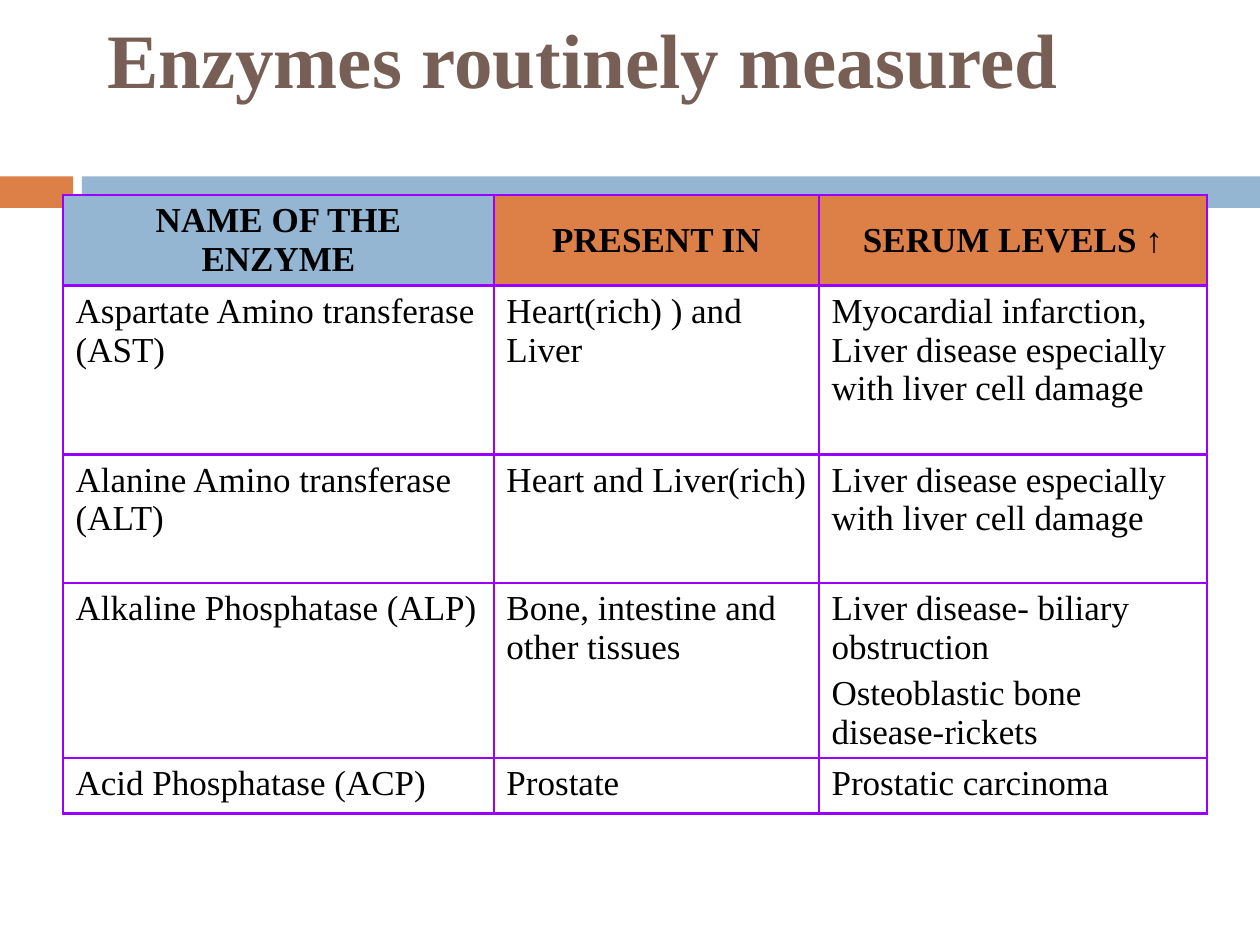
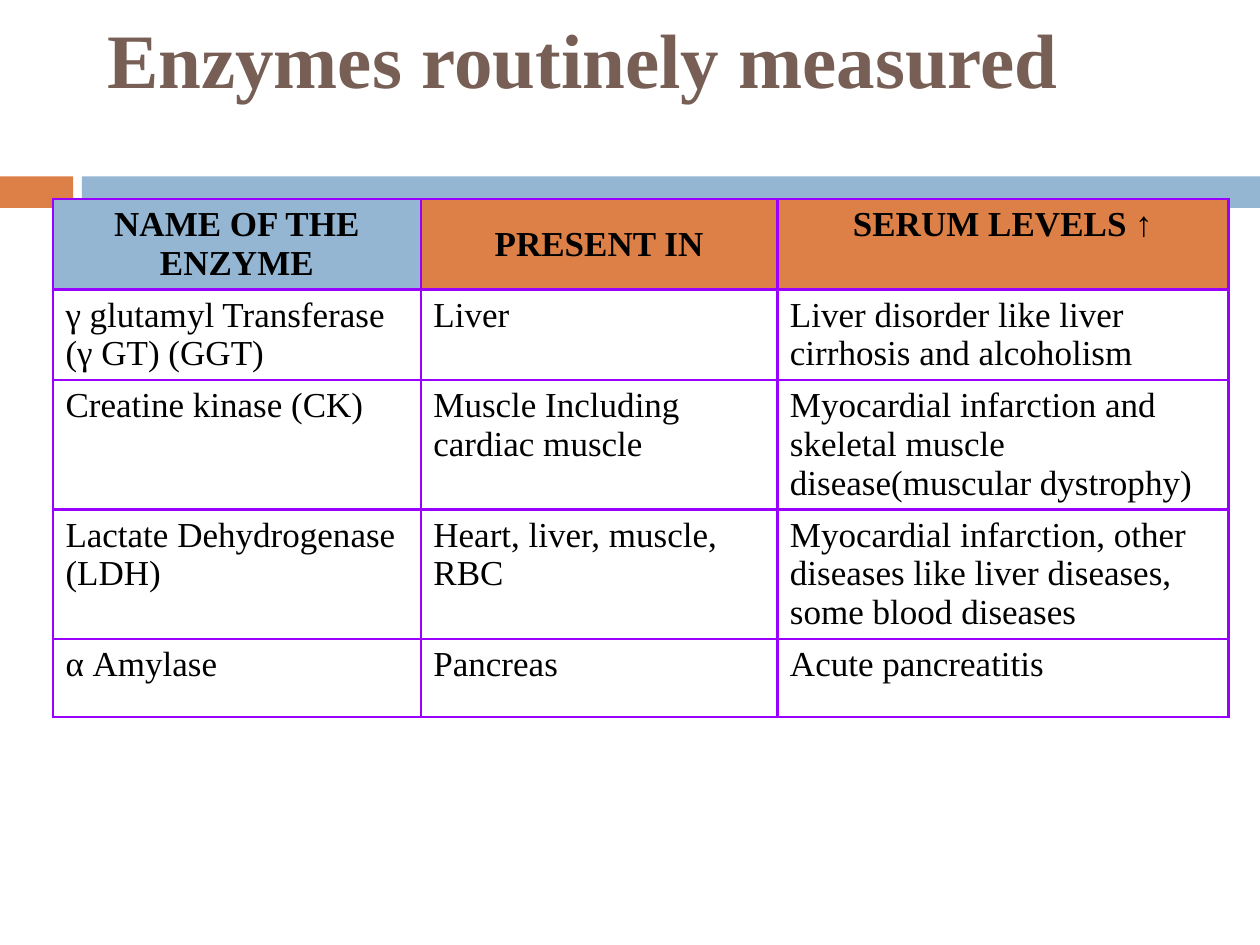
import dataclasses

import lxml.etree
import pptx
import pptx.dml.color
import pptx.enum.shapes
import pptx.enum.text
import pptx.oxml.ns
import pptx.presentation
import pptx.slide
import pptx.table
import pptx.text.text
import pptx.util

Inches = pptx.util.Inches
Pt = pptx.util.Pt
Color = pptx.dml.color.RGBColor
Align = pptx.enum.text.PP_ALIGN
Anchor = pptx.enum.text.MSO_ANCHOR


@dataclasses.dataclass(frozen=True)
class Theme:
    font: str = "Times New Roman"
    title_color: Color = Color(0x77, 0x5F, 0x55)
    text_color: Color = Color(0, 0, 0)
    orange: Color = Color(0xDD, 0x80, 0x47)
    blue: Color = Color(0x94, 0xB6, 0xD2)
    border: Color = Color(0x99, 0x00, 0xFF)
    title_size: int = 44
    table_size: int = 20
    paragraph_gap: int = 4
    border_width: float = 1.5


@dataclasses.dataclass(frozen=True)
class Band:
    left: float
    width: float
    color: Color


@dataclasses.dataclass(frozen=True)
class EnzymeTable:
    left: float
    top: float
    columns: tuple[float, ...]
    rows: tuple[float, ...]
    entries: tuple[tuple[str, str, str], ...]
    last_header_anchor: Anchor = Anchor.MIDDLE


THEME = Theme()
TITLE = "Enzymes routinely measured"
HEADERS = ("NAME OF THE ENZYME", "PRESENT IN", "SERUM LEVELS ↑")
HEADER_FILLS = (THEME.blue, THEME.orange, THEME.orange)
BANDS = (Band(0, 0.58, THEME.orange), Band(0.65, 9.35, THEME.blue))

TABLES = (
    EnzymeTable(
        left=0.5, top=1.55,
        columns=(3.42, 2.58, 3.08),
        rows=(0.71, 1.34, 1.02, 1.39, 0.44),
        entries=(
            ("Aspartate Amino transferase (AST)", "Heart(rich) ) and Liver",
             "Myocardial infarction, Liver disease especially with liver cell damage"),
            ("Alanine Amino transferase (ALT)", "Heart and Liver(rich)",
             "Liver disease especially with liver cell damage"),
            ("Alkaline Phosphatase (ALP)", "Bone, intestine and other tissues",
             "Liver disease- biliary obstruction\nOsteoblastic bone disease-rickets"),
            ("Acid Phosphatase (ACP)", "Prostate", "Prostatic carcinoma"),
        ),
    ),
    EnzymeTable(
        left=0.42, top=1.58,
        columns=(2.92, 2.83, 3.58),
        rows=(0.71, 0.71, 1.03, 1.03, 0.62),
        entries=(
            ("γ glutamyl Transferase (γ GT) (GGT)", "Liver",
             "Liver disorder like liver cirrhosis and alcoholism"),
            ("Creatine kinase (CK)", "Muscle Including cardiac muscle",
             "Myocardial infarction and skeletal muscle disease(muscular dystrophy)"),
            ("Lactate Dehydrogenase (LDH)", "Heart, liver, muscle, RBC",
             "Myocardial infarction, other diseases like liver diseases, some blood diseases"),
            ("α Amylase", "Pancreas", "Acute pancreatitis"),
        ),
        last_header_anchor=Anchor.TOP,
    ),
)


def format_text(para: pptx.text.text._Paragraph, size: int, color: Color,
                bold: bool, align: Align) -> None:
    para.alignment = align
    for span in para.runs:
        span.font.name = THEME.font
        span.font.size = Pt(size)
        span.font.bold = bold
        span.font.color.rgb = color


def add_bands(page: pptx.slide.Slide) -> None:
    for band in BANDS:
        shape = page.shapes.add_shape(
            pptx.enum.shapes.MSO_SHAPE.RECTANGLE,
            Inches(band.left), Inches(1.4), Inches(band.width), Inches(0.25))
        shape.shadow.inherit = False
        shape.fill.solid()
        shape.fill.fore_color.rgb = band.color
        shape.line.fill.background()


def set_title(page: pptx.slide.Slide) -> None:
    box = page.shapes.title
    box.left, box.top = Inches(0.75), Inches(0)
    box.width, box.height = Inches(8.5), Inches(0.92)
    frame = box.text_frame
    frame.text = TITLE
    frame.auto_size = pptx.enum.text.MSO_AUTO_SIZE.NONE
    frame.vertical_anchor = Anchor.MIDDLE
    format_text(frame.paragraphs[0], THEME.title_size, THEME.title_color, True, Align.LEFT)


def add_borders(cell: pptx.table._Cell) -> None:
    qn = pptx.oxml.ns.qn
    properties = cell._tc.get_or_add_tcPr()
    for side in ("a:lnL", "a:lnR", "a:lnT", "a:lnB"):
        line = lxml.etree.SubElement(properties, qn(side), w=str(Pt(THEME.border_width)))
        fill = lxml.etree.SubElement(line, qn("a:solidFill"))
        lxml.etree.SubElement(fill, qn("a:srgbClr"), val=str(THEME.border))


def fill_cell(cell: pptx.table._Cell, text: str, header_fill: Color | None) -> None:
    is_header = header_fill is not None
    add_borders(cell)
    if is_header:
        cell.fill.solid()
        cell.fill.fore_color.rgb = header_fill
    else:
        cell.fill.background()
    cell.vertical_anchor = Anchor.MIDDLE if is_header else Anchor.TOP
    cell.text_frame.text = text
    for index, para in enumerate(cell.text_frame.paragraphs):
        if index:
            para.space_before = Pt(THEME.paragraph_gap)
        format_text(para, THEME.table_size, THEME.text_color, is_header,
                    Align.CENTER if is_header else Align.LEFT)


def add_enzyme_table(page: pptx.slide.Slide, content: EnzymeTable) -> None:
    table = page.shapes.add_table(
        len(content.rows), len(content.columns),
        Inches(content.left), Inches(content.top),
        Inches(sum(content.columns)), Inches(sum(content.rows))).table
    table.horz_banding = False
    table.first_row = False
    for column, width in zip(table.columns, content.columns):
        column.width = Inches(width)
    for row, height in zip(table.rows, content.rows):
        row.height = Inches(height)
    for row_index, texts in enumerate((HEADERS, *content.entries)):
        for column_index, text in enumerate(texts):
            header_fill = HEADER_FILLS[column_index] if row_index == 0 else None
            fill_cell(table.cell(row_index, column_index), text, header_fill)
    table.cell(0, len(HEADERS) - 1).vertical_anchor = content.last_header_anchor


def add_page(deck: pptx.presentation.Presentation, content: EnzymeTable) -> None:
    page = deck.slides.add_slide(deck.slide_layouts.get_by_name("Title Only"))
    add_bands(page)
    set_title(page)
    add_enzyme_table(page, content)


def main() -> None:
    deck = pptx.Presentation()
    deck.slide_width, deck.slide_height = Inches(10), Inches(7.5)
    for content in TABLES:
        add_page(deck, content)
    deck.save("out.pptx")


if __name__ == "__main__":
    main()
